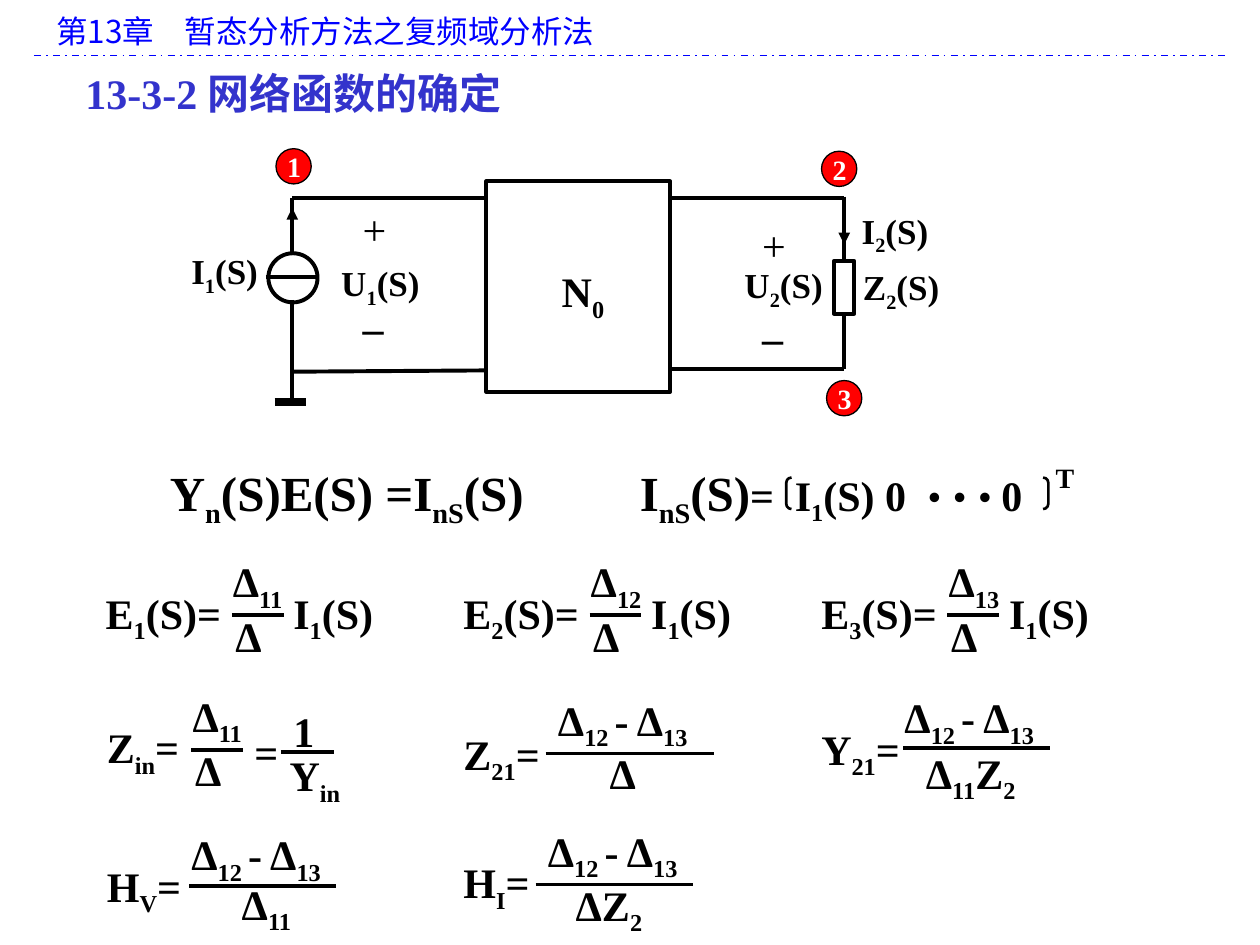
from dataclasses import dataclass

from lxml import etree
from pptx import Presentation
from pptx import util as u
from pptx.dml.color import RGBColor
from pptx.enum import dml, shapes, text
from pptx.oxml.ns import qn

BLACK = RGBColor(0, 0, 0)
WHITE = RGBColor(255, 255, 255)
RED = RGBColor(255, 0, 0)
BLUE = RGBColor(0, 0, 255)
INDIGO = RGBColor(0x33, 0x33, 0xCC)
SERIF, HAN = "Times New Roman", "Noto Sans CJK SC"
TALL = {28: 0.57, 24: 0.5, 20: 0.43, 18: 0.4, 16: 0.37}  # box height by font size
KIND = shapes.MSO_SHAPE


@dataclass
class Label:
    """Text in which underscores switch subscript on and off."""
    body: str
    x: float
    y: float
    w: float
    size: int = 24
    bold: bool = True
    color: RGBColor = BLACK
    font: str = SERIF
    tabs: tuple[float, ...] = ()
    wrap: bool = True


@dataclass
class Line:
    x1: float
    y1: float
    x2: float
    y2: float
    width: float = 2.25
    color: RGBColor = BLACK
    arrow: bool = False


@dataclass
class Frac:
    """Numerator over denominator, parted by a bar."""
    top: Label
    low: Label
    bar: Line


prs = Presentation()
prs.slide_width, prs.slide_height = u.Inches(10), u.Inches(7.5)
slide = prs.slides.add_slide(prs.slide_layouts[6])


def add_runs(para, body: str, size: int | None = None) -> None:
    """Add marked-up text to a paragraph."""
    for i, part in enumerate(body.split("_")):
        if part:
            run = para.add_run()
            run.text = part
            if size:
                run.font.size = u.Pt(size)
            if i % 2:
                run._r.get_or_add_rPr().set("baseline", "-25000")


def put_text(lab: Label):
    """Draw a label and return its paragraph."""
    box = slide.shapes.add_textbox(u.Inches(lab.x), u.Inches(lab.y),
                                   u.Inches(lab.w), u.Inches(TALL[lab.size]))
    frame = box.text_frame
    frame.word_wrap = lab.wrap
    frame.auto_size = text.MSO_AUTO_SIZE.SHAPE_TO_FIT_TEXT
    para = frame.paragraphs[0]
    if lab.tabs:
        stops = etree.SubElement(para._p.get_or_add_pPr(), qn("a:tabLst"))
        for pos in lab.tabs:
            etree.SubElement(stops, qn("a:tab"), pos=str(int(u.Inches(pos))), algn="l")
    font = para.font
    font.name, font.size, font.bold = lab.font, u.Pt(lab.size), lab.bold
    font.color.rgb = lab.color
    add_runs(para, lab.body)
    return para


def set_han(run) -> None:
    """Give a run its Chinese font."""
    run.font.name = HAN
    etree.SubElement(run._r.get_or_add_rPr(), qn("a:ea"), typeface=HAN)


def put_line(line: Line):
    wire = slide.shapes.add_connector(
        shapes.MSO_CONNECTOR.STRAIGHT,
        *map(u.Inches, (line.x1, line.y1, line.x2, line.y2)))
    wire.line.color.rgb = line.color
    wire.line.width = u.Pt(line.width)
    if line.arrow:
        etree.SubElement(wire.line._get_or_add_ln(), qn("a:tailEnd"), type="triangle")
    etree.SubElement(wire._element.spPr, qn("a:effectLst"))
    return wire


def put_shape(kind, x: float, y: float, w: float, h: float,
              fill: RGBColor | None = None, width: float = 2.25):
    form = slide.shapes.add_shape(kind, *map(u.Inches, (x, y, w, h)))
    form.shadow.inherit = False
    if fill is None:
        form.fill.background()
    else:
        form.fill.solid()
        form.fill.fore_color.rgb = fill
    form.line.color.rgb = BLACK
    form.line.width = u.Pt(width)
    return form


def put_frac(frac: Frac) -> None:
    put_text(frac.top)
    put_text(frac.low)
    put_line(frac.bar)


def put_node(num: str, x: float, y: float) -> None:
    """Draw a numbered red node."""
    put_shape(KIND.OVAL, x, y, 0.28, 0.28, RED, 0.75)
    put_text(Label(num, x - 0.01, y - 0.04, 0.31, 16, color=WHITE, wrap=False))


# Header and heading
head = put_text(Label("第13章\t暂态分析方法之复频域分析法", 0.35, 0.05, 9.37, 18,
                      False, BLUE, HAN, (1.02,)))
set_han(head.runs[0])
rule = put_line(Line(0.27, 0.44, 9.72, 0.44, 1, BLUE))
rule.line.dash_style = dml.MSO_LINE.DASH_DOT
title = put_text(Label("13-3-2 ", 0.58, 0.49, 4.92, color=INDIGO))
add_runs(title, "网络函数的确定")
set_han(title.runs[1])

# Circuit: network, load and source
put_shape(KIND.RECTANGLE, 3.86, 1.44, 1.46, 1.67)
load = put_shape(KIND.RECTANGLE, 6.62, 2.07, 0.16, 0.42)
put_shape(KIND.OVAL, 2.13, 2.01, 0.39, 0.39)
put_line(Line(6.7, 1.56, 6.7, 2.07)).end_connect(load, 0)
put_line(Line(6.7, 2.49, 6.7, 2.93)).begin_connect(load, 2)
for wire in (
    Line(5.32, 1.57, 6.7, 1.57), Line(5.32, 2.93, 6.7, 2.93),
    Line(2.32, 1.57, 3.86, 1.57), Line(2.32, 2.95, 3.86, 2.94),
    Line(2.32, 1.57, 2.32, 2.02), Line(2.32, 2.38, 2.32, 3.19),
    Line(2.11, 2.2, 2.53, 2.2), Line(2.18, 3.19, 2.43, 3.19, 4.5),
    Line(6.7, 1.69, 6.7, 1.94, arrow=True),
    Line(2.32, 1.9, 2.32, 1.65, arrow=True),
):
    put_line(wire)

# Circuit labels and nodes
for lab in (
    Label("N_0_", 4.36, 2.06, 0.55, wrap=False),
    Label("I_1_(S)", 1.42, 1.93, 0.74, 20, wrap=False),
    Label("I_2_(S)", 6.74, 1.61, 0.74, 20, wrap=False),
    Label("Z_2_(S)", 6.75, 2.06, 0.82, 20, wrap=False),
    Label("U_1_(S)", 2.61, 2.03, 1.18, 20),
    Label("U_2_(S)", 5.81, 2.04, 1.18, 20),
    Label("+", 2.78, 1.57, 0.39, bold=False, wrap=False),
    Label("+", 5.95, 1.69, 0.39, bold=False, wrap=False),
    Label("–", 2.78, 2.34, 0.37, wrap=False),
    Label("–", 5.95, 2.42, 0.37, wrap=False),
):
    put_text(lab)
for num, x, y in (("1", 2.19, 1.18), ("2", 6.52, 1.2), ("3", 6.56, 3.02)):
    put_node(num, x, y)

# Node equation and source vector
put_text(Label("Y_n_(S)E(S) =I_nS_(S)", 1.25, 3.62, 3.18, 28))
vector = put_text(Label("I_nS_(S)", 4.98, 3.62, 3.6, 28, tabs=(1.23, 2.87)))
add_runs(vector, "=\tI_1_(S) 0\t0", 24)
put_shape(KIND.DOUBLE_BRACKET, 6.24, 3.79, 2.08, 0.25, width=1.5)
put_text(Label("T", 8.28, 3.61, 0.35, 16, wrap=False))
for i in range(3):
    put_text(Label("•", 7.27 + 0.2 * i, 3.72, 0.3, 20, wrap=False))

# Node voltages
for i in range(3):
    x = 0.74 + 2.84 * i
    put_text(Label(f"E_{i + 1}_(S)=\tI_1_(S)", x, 4.61, 3.17, tabs=(1.49,)))
    put_frac(Frac(Label(f"Δ_1{i + 1}_", x + 1.01, 4.36, 1.27),
                  Label("Δ", x + 1.03, 4.8, 1.27),
                  Line(x + 1.1, 4.88, x + 1.51, 4.88)))

# Network functions
for lab in (
    Label("Z_in_=", 0.75, 5.68, 0.93), Label("=", 1.92, 5.72, 0.93),
    Label("Z_21_=", 3.58, 5.73, 0.93), Label("Y_21_=", 6.42, 5.69, 0.93),
    Label("H_V_=", 0.75, 6.78, 0.93), Label("H_I_=", 3.58, 6.75, 0.93),
):
    put_text(lab)
DIFF = "Δ_12 _- Δ_13_"
for frac in (
    Frac(Label("Δ_11_", 1.43, 5.43, 1.27), Label("Δ", 1.45, 5.86, 1.27),
         Line(1.52, 5.95, 1.93, 5.95)),
    Frac(Label("1", 2.23, 5.55, 0.37, wrap=False), Label("Y_in_", 2.2, 5.9, 0.93),
         Line(2.23, 5.97, 2.65, 5.97)),
    Frac(Label(DIFF, 4.33, 5.46, 2), Label("Δ", 4.74, 5.88, 1.27),
         Line(4.33, 5.98, 5.67, 5.98)),
    Frac(Label(DIFF, 7.08, 5.44, 2), Label("Δ_11_Z_2_", 7.25, 5.88, 1.18),
         Line(7.17, 5.94, 8.33, 5.94)),
    Frac(Label(DIFF, 1.42, 6.53, 2), Label("Δ_11_", 1.82, 6.92, 1.18),
         Line(1.5, 7.03, 2.67, 7.03)),
    Frac(Label(DIFF, 4.25, 6.5, 2), Label("ΔZ_2_", 4.47, 6.93, 1.18),
         Line(4.25, 7.02, 5.5, 7.02)),
):
    put_frac(frac)

prs.save("out.pptx")
